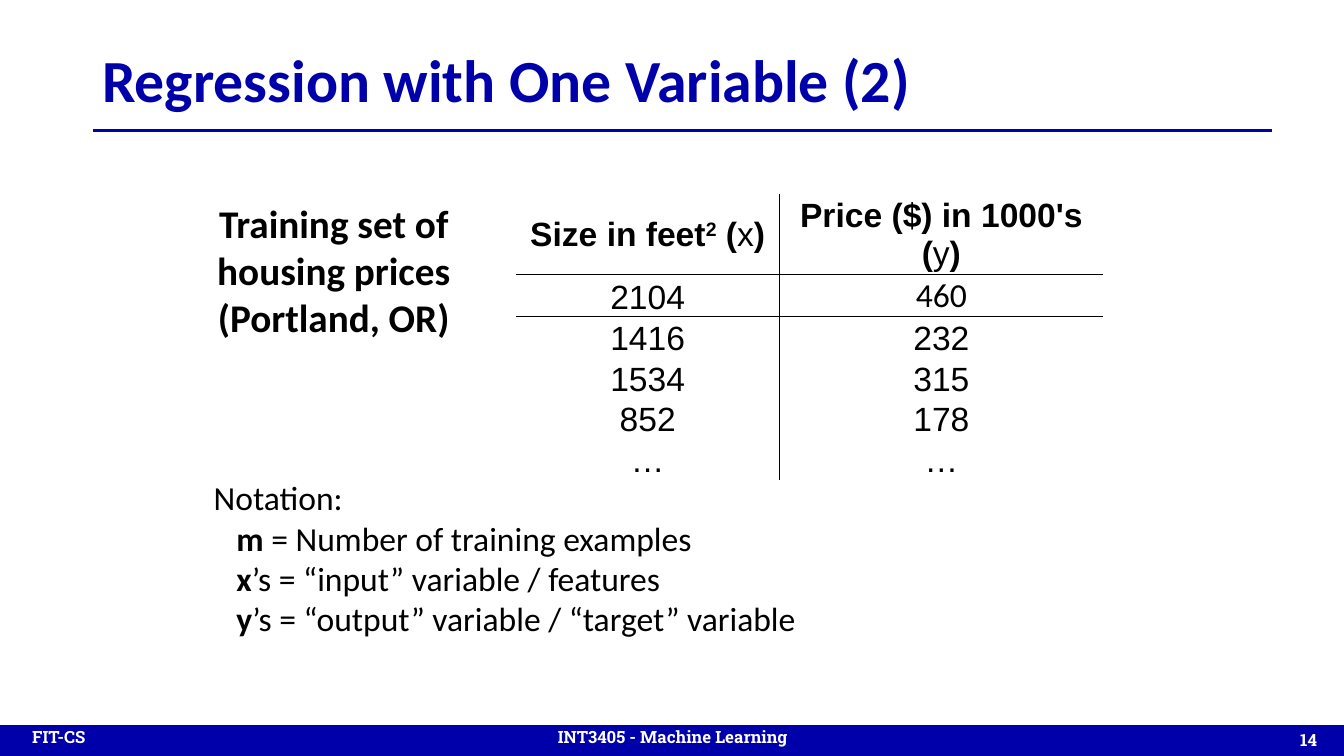
from dataclasses import dataclass
from typing import Sequence

from lxml import etree
from pptx import Presentation
from pptx.dml.color import RGBColor
from pptx.enum.shapes import MSO_CONNECTOR, MSO_SHAPE
from pptx.enum.text import MSO_ANCHOR, PP_ALIGN
from pptx.oxml.ns import qn
from pptx.util import Cm, Pt

LEFT, CENTER, RIGHT = PP_ALIGN.LEFT, PP_ALIGN.CENTER, PP_ALIGN.RIGHT
TOP, MIDDLE, BOTTOM = MSO_ANCHOR.TOP, MSO_ANCHOR.MIDDLE, MSO_ANCHOR.BOTTOM
RECTANGLE = MSO_SHAPE.RECTANGLE
STRAIGHT = MSO_CONNECTOR.STRAIGHT

BLUE, BLACK, WHITE = "0000AA", "000000", "FFFFFF"


@dataclass(frozen=True)
class Style:
    font: str
    size: float
    color: str = BLACK


@dataclass(frozen=True)
class Run:
    text: str
    bold: bool = False
    superscript: bool = False


@dataclass(frozen=True)
class Line:
    runs: Sequence[Run]
    indent: float = 0


@dataclass(frozen=True)
class TextBlock:
    left: float
    top: float
    width: float
    height: float
    lines: Sequence[Line]
    style: Style
    align: PP_ALIGN = LEFT
    anchor: MSO_ANCHOR = TOP
    margins: tuple[float, float] = (0.18, 0.1)
    spacing: float = 1.0


TITLE = Style("Calibri", 32, BLUE)
CAPTION = Style("Calibri", 21)
BODY = Style("Calibri", 18)
CELL = Style("Arial", 18)
FOOTER = Style("Roboto Slab", 9, WHITE)
FOOTER_MARGINS = (0.25, 0.25)
INDENT = 0.43


def bold_lines(*texts: str) -> list[Line]:
    return [Line([Run(text, bold=True)]) for text in texts]


def definition(symbol: str, meaning: str) -> Line:
    return Line([Run(symbol, bold=True), Run(meaning)], INDENT)


TEXT_BLOCKS = [
    TextBlock(3.86, 8.92, 17.5, 3.28, [
        Line([Run("Notation:")]),
        definition("m", " = Number of training examples"),
        definition("x", "’s = “input” variable / features"),
        definition("y", "’s = “output” variable / “target” variable"),
    ], BODY),
    TextBlock(3.86, 3.66, 4.9, 2.9,
              bold_lines("Training set of", "housing prices", "(Portland, OR)"),
              CAPTION, CENTER),
    TextBlock(1.75, 0.69, 21.89, 1.75, bold_lines("Regression with One Variable (2)"),
              TITLE, anchor=MIDDLE, spacing=0.9),
    TextBlock(23.55, 13.44, 1.52, 1.09, bold_lines("14"), FOOTER, RIGHT, MIDDLE),
    TextBlock(0.36, 13.54, 3.48, 0.89, bold_lines("FIT-CS"), FOOTER,
              margins=FOOTER_MARGINS),
    TextBlock(9.93, 13.54, 5.56, 0.89, bold_lines("INT3405 - Machine Learning"),
              FOOTER, CENTER, margins=FOOTER_MARGINS),
]

TABLE_HEADER = [
    [Run("Size in feet", True), Run("2", True, True), Run(" (", True), Run("x"), Run(")", True)],
    [Run("Price ($) in 1000's (", True), Run("y"), Run(")", True)],
]
HOUSES = [("2104", "460"), ("1416", "232"), ("1534", "315"), ("852", "178"), ("…", "…")]
COLUMN_WIDTHS = (4.98, 6.12)
HEADER_HEIGHT, ROW_HEIGHT = 1.53, 0.77
RULED_ROWS = (0, 1)


def rgb(color: str) -> RGBColor:
    return RGBColor.from_string(color)


def add_runs(paragraph, runs: Sequence[Run], style: Style) -> None:
    for item in runs:
        run = paragraph.add_run()
        run.text = item.text
        run.font.name = style.font
        run.font.size = Pt(style.size)
        run.font.bold = item.bold
        run.font.color.rgb = rgb(style.color)
        if item.superscript:
            run._r.get_or_add_rPr().set("baseline", "30000")


def add_text(slide, block: TextBlock) -> None:
    shape = slide.shapes.add_textbox(
        Cm(block.left), Cm(block.top), Cm(block.width), Cm(block.height))
    frame = shape.text_frame
    frame.word_wrap = True
    frame.vertical_anchor = block.anchor
    horizontal, vertical = block.margins
    frame.margin_left = frame.margin_right = Cm(horizontal)
    frame.margin_top = frame.margin_bottom = Cm(vertical)
    for index, line in enumerate(block.lines):
        paragraph = frame.add_paragraph() if index else frame.paragraphs[0]
        paragraph.alignment = block.align
        paragraph.line_spacing = block.spacing
        if line.indent:
            properties = paragraph._p.get_or_add_pPr()
            properties.set("marL", str(Cm(line.indent)))
            properties.set("indent", "0")
        add_runs(paragraph, line.runs, block.style)


def set_borders(cell, visible: dict[str, bool]) -> None:
    properties = cell._tc.get_or_add_tcPr()
    for side, shown in visible.items():
        border = etree.SubElement(properties, qn(f"a:ln{side}"), w=str(Pt(1)))
        if shown:
            fill = etree.SubElement(border, qn("a:solidFill"))
            etree.SubElement(fill, qn("a:srgbClr"), val=BLACK)
        else:
            etree.SubElement(border, qn("a:noFill"))


def add_price_table(slide) -> None:
    rows = [TABLE_HEADER] + [[[Run(value)] for value in house] for house in HOUSES]
    heights = [HEADER_HEIGHT] + [ROW_HEIGHT] * len(HOUSES)
    table = slide.shapes.add_table(
        len(rows), len(COLUMN_WIDTHS), Cm(9.75), Cm(3.66),
        Cm(sum(COLUMN_WIDTHS)), Cm(sum(heights))).table
    table.first_row = table.horz_banding = False
    for column, width in zip(table.columns, COLUMN_WIDTHS):
        column.width = Cm(width)
    for row_index, (row, height) in enumerate(zip(rows, heights)):
        table.rows[row_index].height = Cm(height)
        for column_index, runs in enumerate(row):
            cell = table.cell(row_index, column_index)
            cell.margin_left = cell.margin_right = cell.margin_top = Cm(0.02)
            cell.margin_bottom = Cm(0)
            cell.vertical_anchor = BOTTOM if row_index else MIDDLE
            set_borders(cell, {
                "L": column_index == 1,
                "R": column_index == 0,
                "T": row_index - 1 in RULED_ROWS,
                "B": row_index in RULED_ROWS,
            })
            cell.fill.background()
            paragraph = cell.text_frame.paragraphs[0]
            paragraph.alignment = CENTER
            add_runs(paragraph, runs, BODY if runs[0].text == "460" else CELL)


def add_title_rule(slide) -> None:
    rule = slide.shapes.add_connector(STRAIGHT, Cm(1.75), Cm(2.46), Cm(24.03), Cm(2.46))
    rule.line.color.rgb = rgb(BLUE)
    rule.line.width = Pt(1.5)
    etree.SubElement(rule._element.spPr, qn("a:effectLst"))


def add_footer_bar(slide) -> None:
    bar = slide.shapes.add_shape(RECTANGLE, Cm(0), Cm(13.71), Cm(25.4), Cm(0.58))
    bar.shadow.inherit = False
    bar.fill.solid()
    bar.fill.fore_color.rgb = rgb(BLUE)
    bar.line.color.rgb = rgb(BLUE)
    bar.line.width = Pt(0.75)


def main() -> None:
    presentation = Presentation()
    presentation.slide_width = Cm(25.4)
    presentation.slide_height = Cm(14.29)
    slide = presentation.slides.add_slide(presentation.slide_layouts[6])
    add_price_table(slide)
    add_title_rule(slide)
    add_footer_bar(slide)
    for block in TEXT_BLOCKS:
        add_text(slide, block)
    presentation.save("out.pptx")


if __name__ == "__main__":
    main()
